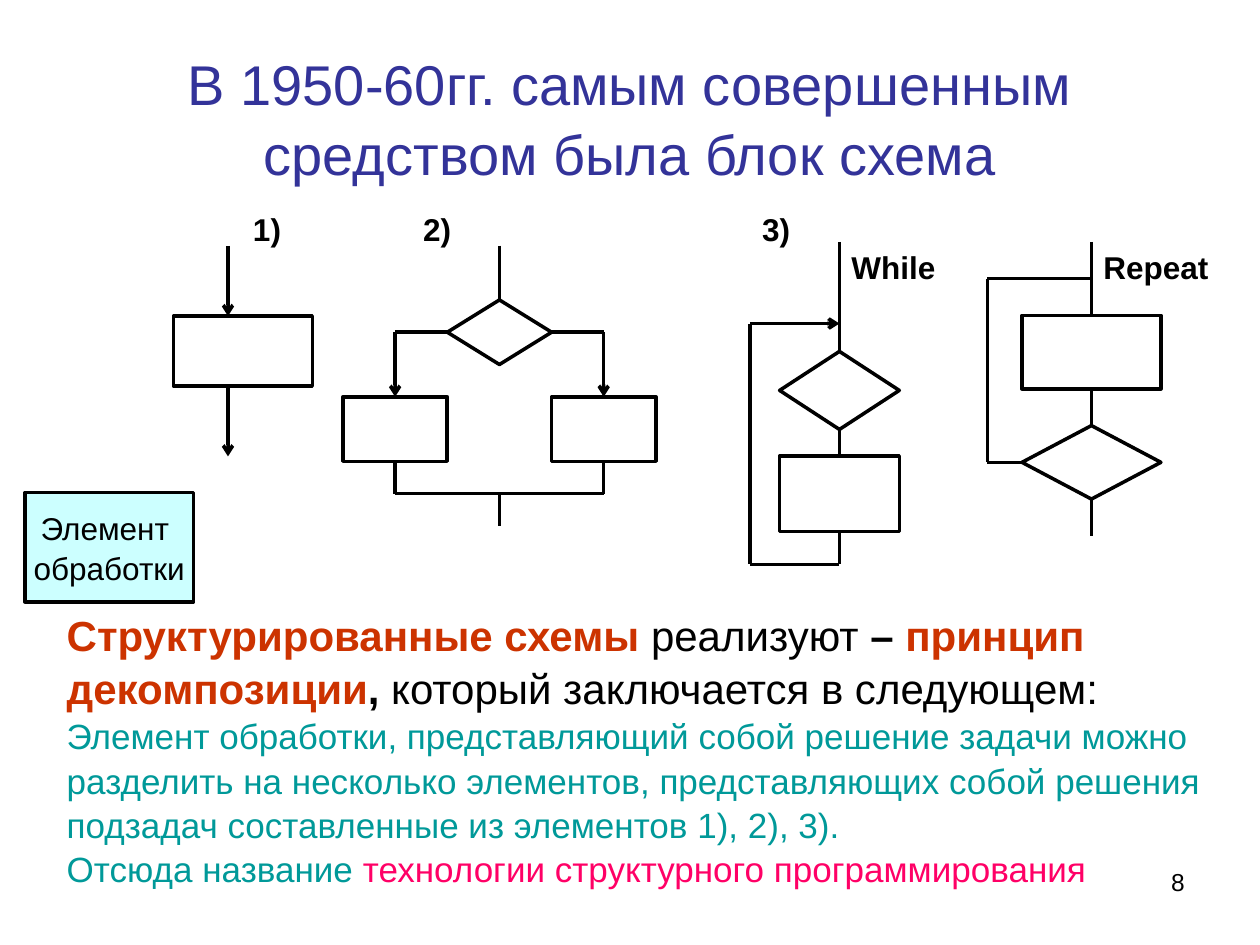
from dataclasses import dataclass

from lxml.etree import SubElement
from pptx import Presentation
from pptx.dml.color import RGBColor
from pptx.enum.shapes import MSO_CONNECTOR as Connector, MSO_SHAPE as Preset
from pptx.enum.text import MSO_ANCHOR as Anchor, PP_ALIGN as Align
from pptx.oxml.ns import qn
from pptx.util import Pt


@dataclass(frozen=True)
class Theme:
    font: str = "Arial"
    black: str = "000000"
    white: str = "FFFFFF"
    title: str = "333399"
    element: str = "CCFFFF"
    key: str = "CC3300"
    detail: str = "009999"
    accent: str = "FF0066"
    title_size: float = 32
    lead_size: float = 24
    body_size: float = 20
    label_size: float = 18
    number_size: float = 14
    line_width: float = 2
    line_spacing: float = 1.05


THEME = Theme()


@dataclass(frozen=True)
class Box:
    left: float
    top: float
    width: float
    height: float


@dataclass(frozen=True)
class Run:
    text: str
    size: float = THEME.label_size
    color: str = THEME.black
    bold: bool = False


@dataclass(frozen=True)
class Node:
    name: str
    preset: Preset
    box: Box


@dataclass(frozen=True)
class Port:
    node: str
    site: int


@dataclass(frozen=True)
class Flow:
    start: Port | tuple[float, float]
    end: Port | tuple[float, float]
    arrow: bool = False


TOP, LEFT, BOTTOM, RIGHT = range(4)


def color(value: str) -> RGBColor:
    return RGBColor.from_string(value)


def fill_text(shape, paragraphs: list[list[Run]], align=Align.LEFT,
              anchor=Anchor.TOP, wrap: bool = True, spacing: float | None = None):
    frame = shape.text_frame
    frame_format = {"word_wrap": wrap, "vertical_anchor": anchor,
                    "margin_left": Pt(7.2), "margin_right": Pt(7.2),
                    "margin_top": Pt(3.6), "margin_bottom": Pt(3.6)}
    for name, value in frame_format.items():
        setattr(frame, name, value)
    for index, runs in enumerate(paragraphs):
        paragraph = frame.add_paragraph() if index else frame.paragraphs[0]
        paragraph.alignment = align
        paragraph.line_spacing = spacing
        for item in runs:
            run = paragraph.add_run()
            run.text = item.text
            run_format = {"name": THEME.font, "size": Pt(item.size), "bold": item.bold}
            for name, value in run_format.items():
                setattr(run.font, name, value)
            run.font.color.rgb = color(item.color)


def place(box: Box) -> list[Pt]:
    return [Pt(length) for length in (box.left, box.top, box.width, box.height)]


def add_text(slide, box: Box, paragraphs: list[list[Run]], **options):
    fill_text(slide.shapes.add_textbox(*place(box)), paragraphs, **options)


def add_block(slide, preset: Preset, box: Box, fill: str = THEME.white):
    shape = slide.shapes.add_shape(preset, *place(box))
    shape.shadow.inherit = False
    shape.fill.solid()
    shape.fill.fore_color.rgb = color(fill)
    shape.line.color.rgb = color(THEME.black)
    shape.line.width = Pt(THEME.line_width)
    return shape


def add_flow(slide, flow: Flow, blocks: dict):
    points = [(0, 0) if isinstance(end, Port) else end for end in (flow.start, flow.end)]
    connector = slide.shapes.add_connector(
        Connector.STRAIGHT, *(Pt(value) for point in points for value in point))
    for end, connect in ((flow.start, connector.begin_connect),
                         (flow.end, connector.end_connect)):
        if isinstance(end, Port):
            connect(blocks[end.node], end.site)
    connector.line.color.rgb = color(THEME.black)
    connector.line.width = Pt(THEME.line_width)
    if flow.arrow:
        SubElement(connector.line._get_or_add_ln(), qn("a:tailEnd"), type="arrow")
    SubElement(connector._element.spPr, qn("a:effectLst"))


def sequence_scheme() -> tuple[list[Node], list[Flow]]:
    axis, top, height = 130.3, 180.6, 40.1
    nodes = [Node("step", Preset.RECTANGLE, Box(99.1, top, 79.4, height))]
    flows = [Flow((axis, top - height), (axis, top), True),
             Flow((axis, top + height), (axis, top + 2 * height), True)]
    return nodes, flows


def branch_scheme() -> tuple[list[Node], list[Flow]]:
    axis, half, top, step = 285.4, 29.8, 171.4, 18.45
    middle, join = top + step, top + 6 * step
    nodes = [Node("choice", Preset.FLOWCHART_DECISION,
                  Box(axis - half, top, 2 * half, 2 * step))]
    flows = [Flow((axis, 140.4), Port("choice", TOP))]
    for name, side, site in (("no", -1, LEFT), ("yes", 1, RIGHT)):
        x = axis + side * 2 * half
        nodes.append(Node(name, Preset.RECTANGLE,
                          Box(x - half, top + 3 * step, 2 * half, 2 * step)))
        flows += [Flow(Port("choice", site), (x, middle)),
                  Flow((x, middle), Port(name, TOP), True),
                  Flow(Port(name, BOTTOM), (x, join))]
    flows += [Flow((axis - 2 * half, join), (axis + 2 * half, join)),
              Flow((axis, join), (axis, join + step))]
    return nodes, flows


def while_scheme() -> tuple[list[Node], list[Flow]]:
    axis, width, loop, entry, join = 479.7, 68.4, 428.6, 184.9, 322.5
    left = axis - width / 2
    nodes = [Node("test", Preset.FLOWCHART_DECISION, Box(left, 200.8, width, 44.6)),
             Node("body", Preset.RECTANGLE, Box(left, 260.7, width, 43.2))]
    flows = [Flow((axis, 138.2), Port("test", TOP)),
             Flow(Port("test", BOTTOM), Port("body", TOP)),
             Flow(Port("body", BOTTOM), (axis, join)),
             Flow((loop, join), (axis, join)),
             Flow((loop, entry), (loop, join)),
             Flow((loop, entry), (axis, entry), True)]
    return nodes, flows


def repeat_scheme() -> tuple[list[Node], list[Flow]]:
    axis, width, loop, top, step = 623.7, 79.4, 564.2, 138.2, 21
    left, entry, middle = axis - width / 2, top + step, top + 6 * step
    nodes = [Node("action", Preset.RECTANGLE, Box(left, top + 2 * step, width, 2 * step)),
             Node("until", Preset.FLOWCHART_DECISION,
                  Box(left, top + 5 * step, width, 2 * step))]
    flows = [Flow((axis, top), Port("action", TOP)),
             Flow(Port("action", BOTTOM), Port("until", TOP)),
             Flow(Port("until", BOTTOM), (axis, top + 8 * step)),
             Flow(Port("until", LEFT), (loop, middle)),
             Flow((loop, entry), (loop, middle)),
             Flow((loop, entry), (axis, entry))]
    return nodes, flows


LABELS = [("1)", 137.5, 116.6), ("2)", 234.7, 116.6), ("3)", 428.4, 116.6),
          ("While", 479.5, 138.2), ("Repeat", 623.5, 138.2)]

EXPLANATION = [
    [Run("Структурированные схемы ", THEME.lead_size, THEME.key, True),
     Run("реализуют", THEME.lead_size),
     Run(" – ", THEME.lead_size, bold=True),
     Run("принцип декомпозиции", THEME.lead_size, THEME.key, True),
     Run(",", THEME.lead_size, bold=True),
     Run(" который заключается в следующем:", THEME.lead_size)],
    [Run("Элемент обработки, представляющий собой решение задачи можно разделить на "
         "несколько элементов, представляющих собой решения подзадач составленные "
         "из элементов 1), 2), 3).", THEME.body_size, THEME.detail)],
    [Run("Отсюда название ", THEME.body_size, THEME.detail),
     Run("технологии структурного программирования", THEME.body_size, THEME.accent)],
]


def main():
    presentation = Presentation()
    presentation.slide_width, presentation.slide_height = Pt(720), Pt(540)
    slide = presentation.slides.add_slide(presentation.slide_layouts[6])

    # Page number and title
    add_text(slide, Box(516, 492, 168, 37.5), [[Run("8", THEME.number_size)]],
             align=Align.RIGHT)
    add_text(slide, Box(36, 21.6, 648, 90),
             [[Run("В 1950-60гг. самым совершенным средством была блок схема",
                   THEME.title_size, THEME.title)]],
             align=Align.CENTER, anchor=Anchor.MIDDLE, spacing=THEME.line_spacing)

    # Flowcharts
    for scheme in (sequence_scheme, branch_scheme, while_scheme, repeat_scheme):
        nodes, flows = scheme()
        blocks = {node.name: add_block(slide, node.preset, node.box) for node in nodes}
        for flow in flows:
            add_flow(slide, flow, blocks)
    for text, left, top in LABELS:
        add_text(slide, Box(left, top, 79.2, 40), [[Run(text, bold=True)]])

    # Explanation and processing element
    add_text(slide, Box(31, 343.4, 669, 161.3), EXPLANATION, spacing=THEME.line_spacing)
    element = add_block(slide, Preset.RECTANGLE, Box(14.2, 281.5, 96.5, 62.4), THEME.element)
    fill_text(element, [[Run("Элемент ")], [Run("обработки")]], align=Align.CENTER,
              anchor=Anchor.MIDDLE, wrap=False, spacing=THEME.line_spacing)

    presentation.save("out.pptx")


if __name__ == "__main__":
    main()
